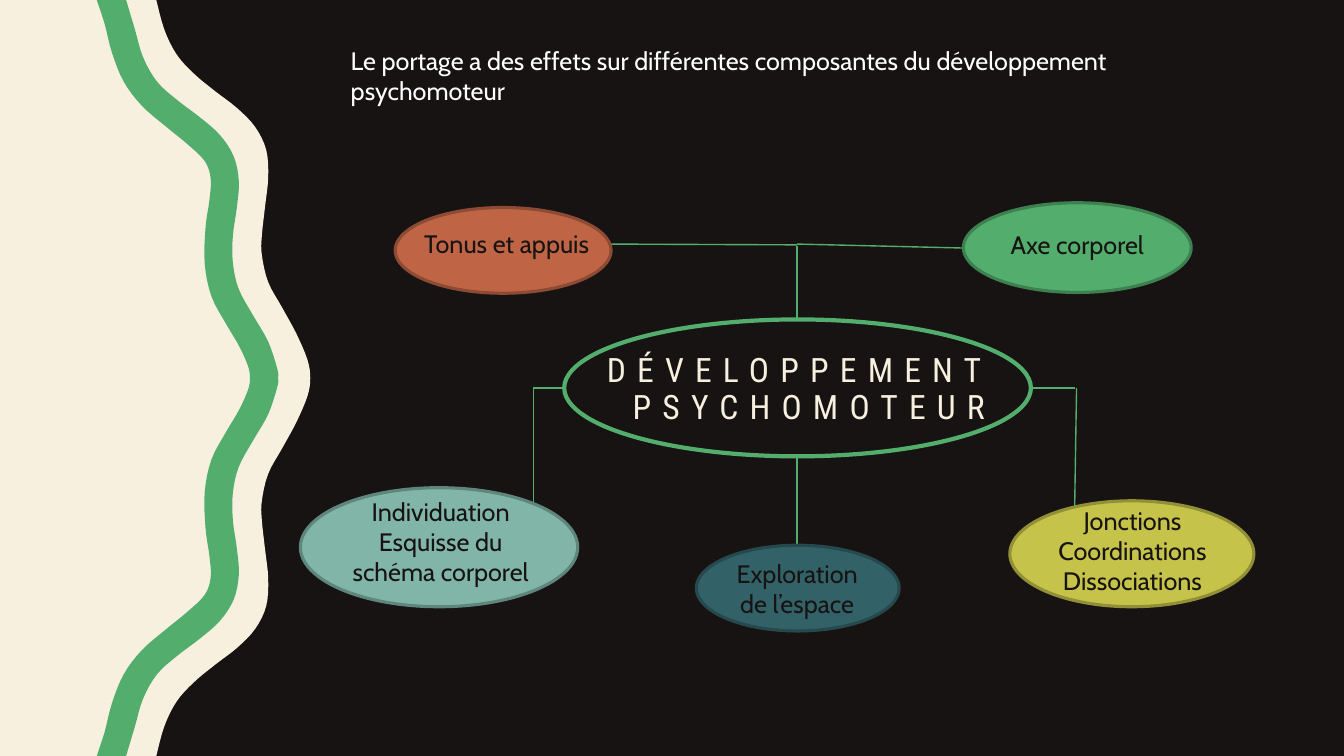
from pptx import Presentation
from pptx import util as u
from pptx.dml import color
from pptx.enum import shapes, text
from pptx.oxml import ns

WIDTH, HEIGHT = 33.87, 19.05
DARK, CREAM, GREEN, WHITE = "171312", "F7F0DF", "53AE6E", "FFFFFF"
CENTER, LEFT = text.PP_ALIGN.CENTER, text.PP_ALIGN.LEFT

# Upper halves of the wavy edges, in cm; the lower halves mirror them.
CREAM_EDGE = [
    (3.94, 0), (4.14, 0.74), (4.45, 1.37), (4.88, 1.85), (5.41, 2.29), (5.97, 2.72),
    (6.43, 3.2), (6.71, 3.78), (6.76, 4.47), (6.68, 5.21), (6.6, 5.94), (6.6, 6.43),
    (6.76, 7.11), (7.11, 7.75), (7.47, 8.41), (7.75, 9.07), (7.82, 9.53)]
GREEN_OUTER = [
    (3.18, 0), (3.4, 0.74), (3.61, 1.45), (3.96, 2.06), (4.45, 2.51), (5.03, 2.95),
    (5.54, 3.4), (5.89, 3.94), (6.02, 4.57), (5.97, 5.23), (5.87, 5.94), (5.87, 6.63),
    (6.02, 7.29), (6.38, 7.95), (6.76, 8.61), (6.99, 9.3), (7.01, 9.53)]
GREEN_INNER = [
    (2.44, 0), (2.64, 0.61), (2.82, 1.32), (3.12, 2.06), (3.58, 2.67), (4.17, 3.18),
    (4.72, 3.63), (5.16, 4.06), (5.31, 4.5), (5.28, 5.03), (5.18, 5.74), (5.16, 6.65),
    (5.33, 7.47), (5.69, 8.15), (6.02, 8.71), (6.25, 9.22), (6.3, 9.53)]

CONNECTORS = [
    (20.09, 11.51, 20.09, 13.89),
    (14.22, 9.78, 13.44, 9.78), (13.44, 9.78, 13.44, 12.7),
    (20.09, 8.05, 20.09, 6.2),
    (20.09, 6.17, 15.29, 6.15), (20.09, 6.15, 24.28, 6.25),
    (25.98, 9.78, 27.08, 9.78), (27.13, 9.78, 27.08, 12.95)]

# Ellipse box, fill, outline, label, label box, label alignment
COMPONENTS = [
    ((9.96, 5.23, 5.44, 2.16), "BF6546", "8D4B34",
     "Tonus et appuis", (10.44, 5.64, 4.88, 1.02), LEFT),
    ((7.57, 12.29, 6.99, 3), "81B5A8", "5F867C",
     "Individuation Esquisse du schéma corporel", (8.59, 12.37, 5.03, 2.57), CENTER),
    ((17.55, 13.74, 5.11, 2.16), "326267", "25494C",
     "Exploration de l’espace", (18.26, 13.94, 3.66, 1.8), CENTER),
    ((25.45, 12.62, 6.15, 2.67), "C5C34A", "929037",
     "Jonctions Coordinations Dissociations", (25.76, 12.6, 5.56, 2.57), CENTER),
    ((24.28, 5.11, 5.74, 2.26), GREEN, "3D8151",
     "Axe corporel", (25.22, 5.66, 4.34, 1.02), LEFT)]


def rgb(value):
    """Return the colour for a hex string."""
    return color.RGBColor.from_string(value)


def lengths(values):
    """Turn numbers in centimetres into lengths."""
    return [u.Cm(value) for value in values]


def smooth(knots, steps=4):
    """Return a Catmull-Rom curve through the knots."""
    padded = [knots[0], *knots, knots[-1]]
    curve = []
    for a, b, c, d in zip(padded, padded[1:], padded[2:], padded[3:]):
        for step in range(steps):
            t = step / steps
            curve.append(tuple(
                q + t * ((r - p) + t * ((2 * p - 5 * q + 4 * r - s)
                                        + t * (3 * q - p - 3 * r + s))) / 2
                for p, q, r, s in zip(a, b, c, d)))
    return curve + [knots[-1]]


def wave(half):
    """Return a full-height edge from its upper half."""
    mirrored = [(x, HEIGHT - y) for x, y in reversed(half[:-1])]
    return smooth(half + mirrored)


def write(frame, content, font="Cabin", size=18, fill=DARK, align=LEFT,
          anchor=text.MSO_ANCHOR.TOP, line_spacing=None, tracking=None):
    """Put formatted text into a text frame."""
    frame.word_wrap = True
    frame.auto_size = text.MSO_AUTO_SIZE.NONE
    frame.vertical_anchor = anchor
    paragraph = frame.paragraphs[0]
    paragraph.text = content
    paragraph.alignment = align
    paragraph.line_spacing = line_spacing
    for run in paragraph.runs:
        run.font.name = font
        run.font.size = u.Pt(size)
        run.font.color.rgb = rgb(fill)
        if tracking:
            run.font._element.set("spc", str(tracking * 100))


class SlideBuilder:
    """Holds the style and the current slide."""

    def __init__(self, slide, line_color=GREEN, background=DARK):
        """Keep the slide and set its background."""
        self.slide = slide
        self.line_color = line_color
        slide.background.fill.solid()
        slide.background.fill.fore_color.rgb = rgb(background)

    def paint(self, shape, fill=None, line=None, weight=1):
        """Set fill and outline, and remove the shadow."""
        shape.shadow.inherit = False
        if fill:
            shape.fill.solid()
            shape.fill.fore_color.rgb = rgb(fill)
        else:
            shape.fill.background()
        if line:
            shape.line.color.rgb = rgb(line)
            shape.line.width = u.Pt(weight)
        else:
            shape.line.fill.background()

    def outline(self, points, fill):
        """Draw a closed freeform through points in cm."""
        corners = [lengths(point) for point in points]
        builder = self.slide.shapes.build_freeform(*corners[0], scale=1.0)
        builder.add_line_segments(corners[1:], close=True)
        self.paint(builder.convert_to_shape(), fill)

    def ellipse(self, box, fill=None, line=None, weight=2.25):
        """Draw an ellipse."""
        shape = self.slide.shapes.add_shape(shapes.MSO_SHAPE.OVAL, *lengths(box))
        self.paint(shape, fill, line, weight)

    def connector(self, ends):
        """Draw a thin straight connector."""
        line = self.slide.shapes.add_connector(
            shapes.MSO_CONNECTOR.STRAIGHT, *lengths(ends))
        line.line.color.rgb = rgb(self.line_color)
        line.line.width = u.Pt(1)
        properties = line._element.spPr
        properties.append(properties.makeelement(ns.qn("a:effectLst"), {}))

    def label(self, box, content, **style):
        """Add a text box."""
        shape = self.slide.shapes.add_textbox(*lengths(box))
        write(shape.text_frame, content, **style)

    def title(self, box, content, **style):
        """Move and fill the title placeholder."""
        shape = self.slide.shapes.title
        shape.left, shape.top, shape.width, shape.height = lengths(box)
        write(shape.text_frame, content, **style)


def main():
    """Build and save the slide."""
    presentation = Presentation()
    presentation.slide_width, presentation.slide_height = lengths((WIDTH, HEIGHT))
    title_only = presentation.slide_layouts[5]
    builder = SlideBuilder(presentation.slides.add_slide(title_only))

    builder.outline([(0, 0), *wave(CREAM_EDGE), (0, HEIGHT)], CREAM)
    builder.outline(wave(GREEN_OUTER) + wave(GREEN_INNER)[::-1], GREEN)
    builder.title((9.02, 3.68, 22.73, 7.19), "DÉVELOPPEMENT \vPSYCHOMOTEUR",
                  font="Roboto Condensed", size=24, fill=CREAM, align=CENTER,
                  anchor=text.MSO_ANCHOR.BOTTOM, line_spacing=0.9, tracking=8)
    builder.ellipse((14.22, 8.05, 11.76, 3.45), line=GREEN, weight=3)
    for ends in CONNECTORS:
        builder.connector(ends)
    for box, fill, line, content, label_box, align in COMPONENTS:
        builder.ellipse(box, fill, line)
        builder.label(label_box, content, align=align)
    builder.label((8.59, 1.02, 22.73, 1.02),
                  "Le portage a des effets sur différentes composantes "
                  "du développement psychomoteur", fill=WHITE)

    presentation.save("out.pptx")


main()
